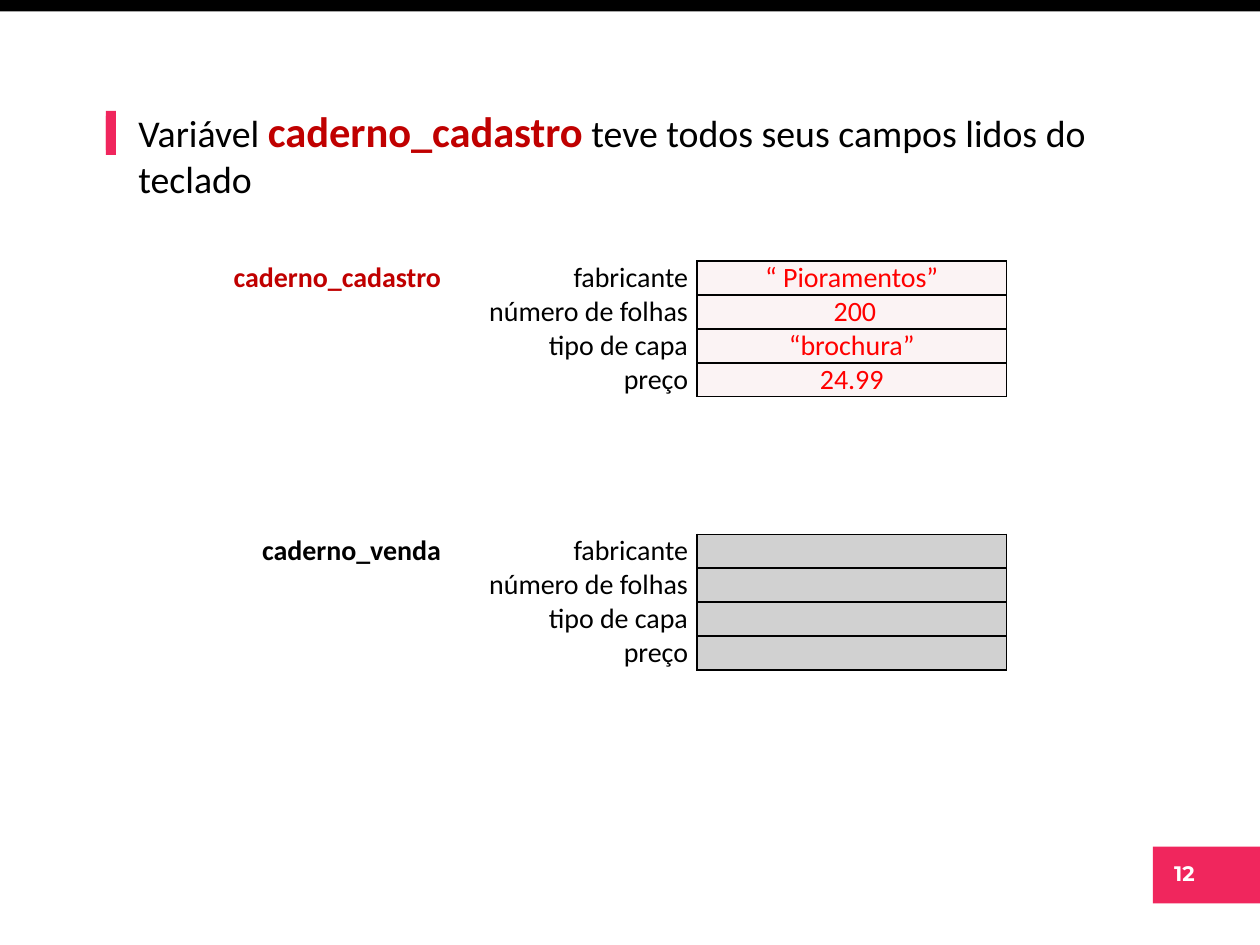
from dataclasses import dataclass

from lxml import etree
from pptx import Presentation
from pptx import util as u
from pptx.dml.color import RGBColor
from pptx.enum import shapes, text
from pptx.oxml import ns


@dataclass(frozen=True)
class Theme:
    body_font: str = "Calibri"
    number_font: str = "Montserrat"
    black: str = "000000"
    white: str = "FFFFFF"
    accent: str = "F0265D"
    name_red: str = "C00000"
    value_red: str = "FF0000"
    filled: str = "F9E8EA"
    empty: str = "A6A6A6"
    title_size: float = 21.6
    emphasis_size: float = 24.3
    table_size: float = 16
    number_size: float = 12


class RecordSlide:
    def __init__(self, deck, theme):
        self.theme = theme
        self.slide = deck.slides.add_slide(deck.slide_layouts[6])

    def style(self, font, size, color, bold=False, face=None):
        font.name = face or self.theme.body_font
        font.size = u.Pt(size)
        font.bold = bold
        font.color.rgb = RGBColor.from_string(color)

    def bar(self, left, top, width, height, color):
        bar = self.slide.shapes.add_shape(
            shapes.MSO_SHAPE.RECTANGLE, *map(u.Inches, (left, top, width, height)))
        bar.shadow.inherit = False
        bar.fill.solid()
        bar.fill.fore_color.rgb = RGBColor.from_string(color)
        bar.line.fill.background()

    def title(self, left, top, width, height, pieces):
        frame = self.slide.shapes.add_textbox(
            *map(u.Inches, (left, top, width, height))).text_frame
        frame.word_wrap = True
        frame.vertical_anchor = text.MSO_ANCHOR.MIDDLE
        for words, size, color, bold in pieces:
            run = frame.paragraphs[0].add_run()
            run.text = words
            self.style(run.font, size, color, bold)

    def page_number(self, left, top, width, height, number):
        frame = self.slide.shapes.add_textbox(
            *map(u.Inches, (left, top, width, height))).text_frame
        frame.word_wrap = False
        line = frame.paragraphs[0]
        line.text = number
        line.alignment = text.PP_ALIGN.CENTER
        self.style(line.font, self.theme.number_size, self.theme.white, True,
                   self.theme.number_font)

    def cell(self, cell, words, align, color, bold=False):
        cell.margin_left = cell.margin_right = u.Inches(0.07)
        cell.margin_top = cell.margin_bottom = 0
        cell.fill.background()
        line = cell.text_frame.paragraphs[0]
        line.text = words
        line.alignment = align
        self.style(line.font, self.theme.table_size, color, bold)

    def box(self, cell, color):
        cell.fill.solid()
        cell.fill.fore_color.rgb = RGBColor.from_string(color)
        properties = cell._tc.get_or_add_tcPr()
        tint = properties.find(".//" + ns.qn("a:srgbClr"))
        etree.SubElement(tint, ns.qn("a:alpha"), val="51000")
        for position, side in enumerate(("lnL", "lnR", "lnT", "lnB")):
            border = etree.Element(ns.qn("a:" + side), w=str(u.Pt(1)))
            solid = etree.SubElement(border, ns.qn("a:solidFill"))
            etree.SubElement(solid, ns.qn("a:srgbClr"), val=self.theme.black)
            properties.insert(position, border)

    def record(self, top, name, name_color, fields, values, box_color):
        widths = (2.95, 1.96, 2.46)
        row_height = 0.27
        table = self.slide.shapes.add_table(
            len(fields), len(widths), u.Inches(0.62), u.Inches(top),
            u.Inches(sum(widths)), u.Inches(row_height * len(fields))).table
        table.first_row = table.horz_banding = False
        for column, width in zip(table.columns, widths):
            column.width = u.Inches(width)
        align = text.PP_ALIGN
        for row, (field, value) in enumerate(zip(fields, values)):
            table.rows[row].height = u.Inches(row_height)
            self.cell(table.cell(row, 0), "" if row else name, align.RIGHT, name_color, True)
            self.cell(table.cell(row, 1), field, align.RIGHT, self.theme.black)
            self.cell(table.cell(row, 2), value, align.CENTER, self.theme.value_red)
            self.box(table.cell(row, 2), box_color)
        table.cell(0, 0).merge(table.cell(len(fields) - 1, 0))


def main():
    theme = Theme()
    deck = Presentation()
    deck.slide_width, deck.slide_height = u.Inches(10), u.Inches(7.5)
    page = RecordSlide(deck, theme)

    page.bar(0, 0, 10, 0.09, theme.black)
    page.bar(9.15, 6.72, 0.86, 0.45, theme.accent)
    page.page_number(9.16, 6.78, 0.48, 0.3, "12")
    for marker_top in (0.92, 0.88):
        page.bar(0.84, marker_top, 0.08, 0.31, theme.accent)
    page.title(1, 0.83, 7.99, 0.77, (
        ("Variável ", theme.title_size, theme.black, False),
        ("caderno_cadastro", theme.emphasis_size, theme.name_red, True),
        (" teve todos seus campos lidos do teclado", theme.title_size, theme.black, False),
    ))

    fields = ("fabricante", "número de folhas", "tipo de capa", "preço")
    cadastro = ("“ Pioramentos”", " 200", "“brochura”", "24.99")
    page.record(2.07, "caderno_cadastro", theme.name_red, fields, cadastro, theme.filled)
    page.record(4.24, "caderno_venda", theme.black, fields, ("",) * len(fields), theme.empty)

    deck.save("out.pptx")


if __name__ == "__main__":
    main()
